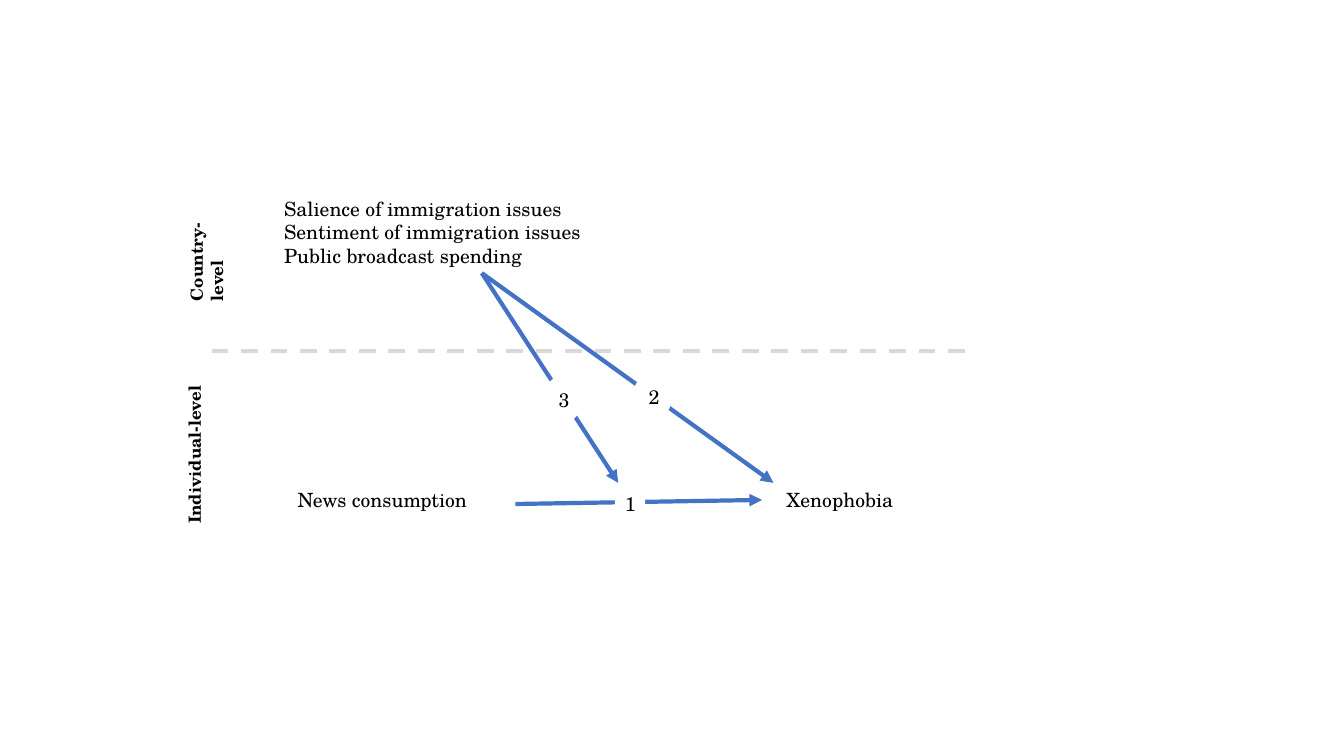
from lxml import etree
from pptx import Presentation
from pptx import util as u
from pptx.dml.color import RGBColor
from pptx.enum import dml, shapes, text
from pptx.oxml.ns import qn


def color(value):
    return RGBColor.from_string(value)


class Diagram:
    font, ink, paper, accent, muted = "TeX Gyre Schola", "000000", "FFFFFF", "4472C4", "D9D9D9"
    body, label, stroke = 14, 12, 3

    def __init__(self, prs):
        self.w, self.h = prs.slide_width, prs.slide_height
        self.s = prs.slides.add_slide(prs.slide_layouts[6])

    def place(self, x, y):
        return u.Emu(round(self.w * x / 100)), u.Emu(round(self.h * y / 100))

    def fill_text(self, sp, lines, size, bold=False, align=text.PP_ALIGN.LEFT, wrap=True):
        tf = sp.text_frame
        tf.word_wrap = wrap
        tf.auto_size = text.MSO_AUTO_SIZE.SHAPE_TO_FIT_TEXT
        for i, line in enumerate(lines):
            p = tf.add_paragraph() if i else tf.paragraphs[0]
            p.alignment = align
            r = p.add_run()
            r.text = line
            r.font.name, r.font.size, r.font.bold = self.font, u.Pt(size), bold
            r.font.color.rgb = color(self.ink)

    def text_box(self, x, y, w, h, lines, align=text.PP_ALIGN.LEFT):
        sp = self.s.shapes.add_textbox(*self.place(x, y), *self.place(w, h))
        self.fill_text(sp, lines, self.body, align=align)

    def side_label(self, x, y, w, h, line):
        sp = self.s.shapes.add_textbox(*self.place(x, y), *self.place(w, h))
        sp.rotation = 270
        self.fill_text(sp, [line], self.label, bold=True, wrap=False)

    def number(self, kind, x, y, w, h, line):
        sp = self.s.shapes.add_shape(kind, *self.place(x, y), *self.place(w, h))
        sp.shadow.inherit = False
        sp.fill.solid()
        sp.fill.fore_color.rgb = color(self.paper)
        sp.line.fill.background()
        self.fill_text(sp, [line], self.body)

    def line(self, start, end, hue):
        c = self.s.shapes.add_connector(
            shapes.MSO_CONNECTOR.STRAIGHT, *self.place(*start), *self.place(*end))
        c.line.color.rgb = color(hue)
        c.line.width = u.Pt(self.stroke)
        etree.SubElement(c._element.spPr, qn("a:effectLst"))
        return c

    def divider(self, start, end):
        self.line(start, end, self.muted).line.dash_style = dml.MSO_LINE.DASH

    def arrow(self, start, end):
        c = self.line(start, end, self.accent)
        ln = c._element.spPr.find(qn("a:ln"))
        etree.SubElement(ln, qn("a:tailEnd"), type="triangle")


prs = Presentation()
prs.slide_width, prs.slide_height = u.Inches(13.33), u.Inches(7.5)
d = Diagram(prs)

outcome_top, line_h = 63.87, 4.53
factors_exit = (35.85, 36.13)

d.divider((15.75, 46.4), (72.15, 46.4))
for x, w, name in [(18.6, 19.7, "News consumption"), (56.7, 11.6, "Xenophobia")]:
    d.text_box(x, outcome_top, w, line_h, [name], text.PP_ALIGN.CENTER)
d.text_box(20.4, 25.33, 30.9, 10.8, [
    "Salience of immigration issues",
    "Sentiment of immigration issues",
    "Public broadcast spending",
])

d.arrow((38.35, 66.67), (56.7, 66.13))
for target_x in (57.55, 46):
    d.arrow(factors_exit, (target_x, outcome_top))

d.side_label(9.45, 30, 10.3, 4, "Country-level")
d.side_label(8.55, 58.13, 11.8, 4, "Individual-level")

d.number(shapes.MSO_SHAPE.RECTANGLE, 45.75, 64.4, 2.25, line_h, "1")
for x, y, digit in [(47.1, 49.33, "2"), (40.4, 49.73, "3")]:
    d.number(shapes.MSO_SHAPE.OVAL, x, y, 2.9, 6.27, digit)

prs.save("out.pptx")
